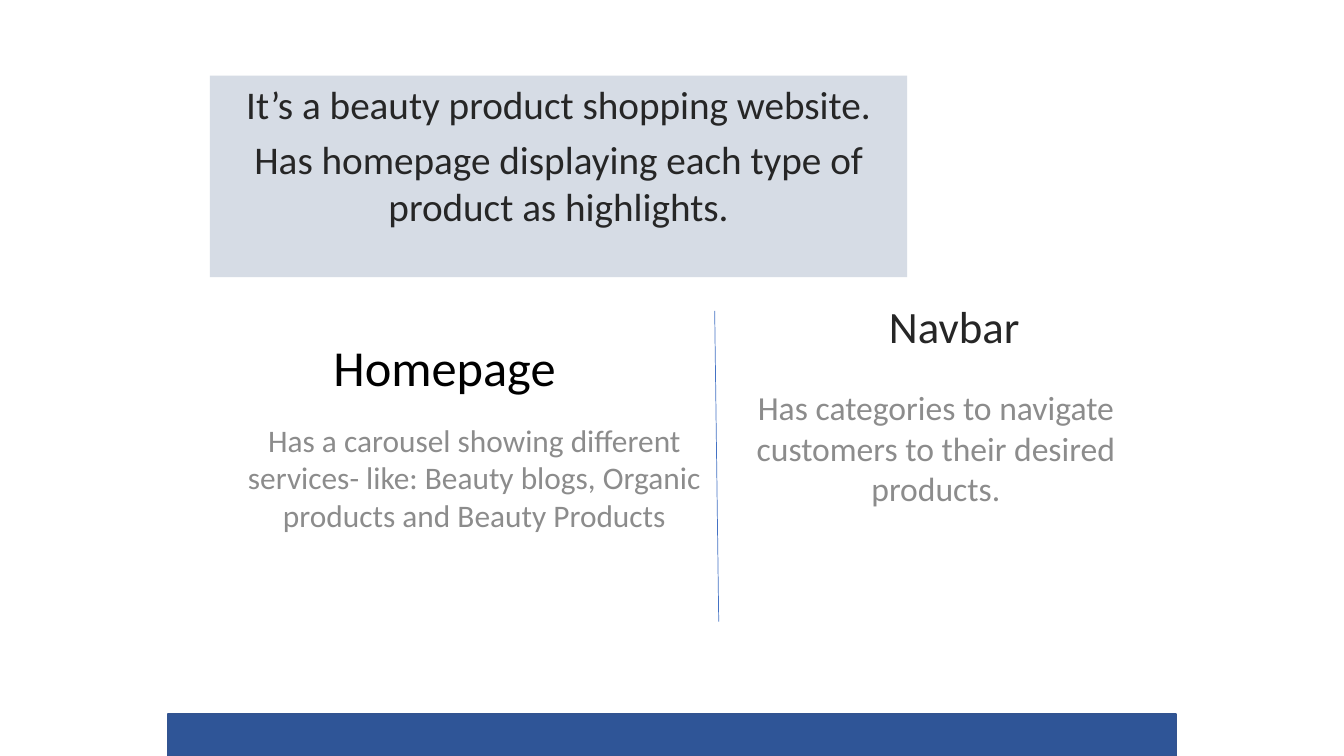
from lxml.etree import SubElement
from pptx import Presentation
from pptx.dml.color import RGBColor
from pptx.enum.shapes import MSO_CONNECTOR, MSO_SHAPE
from pptx.enum.text import MSO_ANCHOR, MSO_AUTO_SIZE, PP_ALIGN
from pptx.oxml.ns import qn
from pptx.util import Pt

COLORS = {
    "title": "000000",
    "heading": "262626",
    "detail": "8C8C8C",
    "panel": "D6DCE5",
    "footer": "2F5597",
    "footer_edge": "325491",
    "divider": "4472C4",
}


class SlideBuilder:
    font = "Calibri"

    def __init__(self, presentation):
        self.slide = presentation.slides.add_slide(presentation.slide_layouts[5])

    def color(self, name):
        return RGBColor.from_string(COLORS[name])

    def set_text(self, frame, lines, size, color, anchor=MSO_ANCHOR.TOP):
        frame.word_wrap = True
        frame.auto_size = MSO_AUTO_SIZE.NONE
        frame.vertical_anchor = anchor
        for index, line in enumerate(lines):
            paragraph = frame.add_paragraph() if index else frame.paragraphs[0]
            paragraph.text = line
            paragraph.alignment = PP_ALIGN.CENTER
            paragraph.space_before = Pt(size * 0.2 if index else 0)
            paragraph.font.name = self.font
            paragraph.font.size = Pt(size)
            paragraph.font.color.rgb = self.color(color)

    def title(self, text, left, top, width, height, size):
        title = self.slide.shapes.title
        title.left, title.top = Pt(left), Pt(top)
        title.width, title.height = Pt(width), Pt(height)
        self.set_text(title.text_frame, [text], size, "title", MSO_ANCHOR.BOTTOM)
        title.text_frame.paragraphs[0].line_spacing = 0.9

    def text(self, text, left, top, size, color, width=342, height=90):
        box = self.slide.shapes.add_textbox(Pt(left), Pt(top), Pt(width), Pt(height))
        self.set_text(box.text_frame, [text], size, color)

    def rectangle(self, left, top, width, height, fill, edge=None):
        rectangle = self.slide.shapes.add_shape(
            MSO_SHAPE.RECTANGLE, Pt(left), Pt(top), Pt(width), Pt(height))
        rectangle.shadow.inherit = False
        rectangle.fill.solid()
        rectangle.fill.fore_color.rgb = self.color(fill)
        if edge:
            rectangle.line.color.rgb = self.color(edge)
            rectangle.line.width = Pt(1)
        else:
            rectangle.line.fill.background()
        return rectangle

    def line(self, x1, y1, x2, y2, color, width):
        line = self.slide.shapes.add_connector(
            MSO_CONNECTOR.STRAIGHT, Pt(x1), Pt(y1), Pt(x2), Pt(y2))
        line.line.color.rgb = self.color(color)
        line.line.width = Pt(width)
        SubElement(line._element.spPr, qn("a:effectLst"))


def main():
    presentation = Presentation()
    presentation.slide_width, presentation.slide_height = Pt(960), Pt(540)
    builder = SlideBuilder(presentation)

    builder.title("Homepage", 110.9, 228.2, 413.3, 59, 36)
    builder.rectangle(120, 510, 720, 30, "footer", "footer_edge")
    summary = builder.rectangle(150, 54, 498, 144, "panel")
    builder.set_text(summary.text_frame, [
        "It’s a beauty product shopping website.",
        "Has homepage displaying each type of product as highlights.",
    ], 28, "heading")
    builder.text(" Navbar", 507, 210, 32, "heading")
    builder.text("Has a carousel showing different services- like: Beauty blogs, "
                 "Organic products and Beauty Products", 168, 297, 22.4, "detail")
    builder.text("Has categories to navigate customers to their desired products.",
                 497.5, 273, 24, "detail")
    builder.line(510.5, 222, 513.4, 444, "divider", 0.5)

    presentation.save("out.pptx")


if __name__ == "__main__":
    main()
